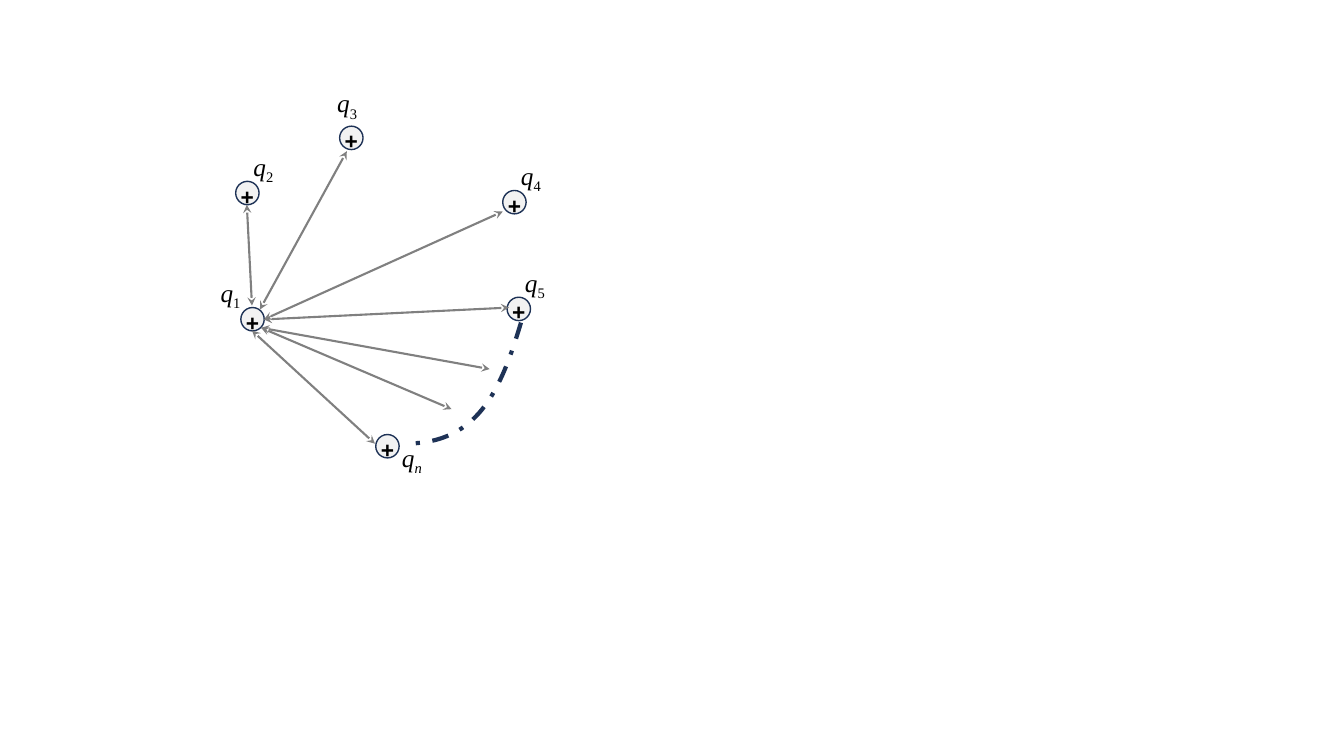
from lxml import etree
from pptx import Presentation
from pptx import util as u
from pptx.dml.color import RGBColor
from pptx.enum import dml, shapes, text
from pptx.oxml.ns import qn

NAVY, GRAY, PALE, BLACK = "1E3256", "808080", "F2F2F2", "000000"


def rgb(color):
    return RGBColor.from_string(color)


def add_run(p, content, font, size, baseline=0, bold=False, italic=False):
    r = p.add_run()
    r.text = content
    r.font.name, r.font.size = font, u.Pt(size)
    r.font.bold, r.font.italic = bold, italic
    r.font.color.rgb = rgb(BLACK)
    if baseline:
        r._r.get_or_add_rPr().set("baseline", str(baseline * 1000))


prs = Presentation()
prs.slide_width, prs.slide_height = u.Cm(33.87), u.Cm(19.05)
s = prs.slides.add_slide(prs.slide_layouts[6])

# Charges: subscript, circle corner, label corner
charges = [
    ("1", (6.07, 7.75), (5.49, 6.99)),
    ("2", (5.94, 4.57), (6.32, 3.81)),
    ("3", (8.56, 3.18), (8.43, 2.21)),
    ("4", (12.67, 4.8), (13.06, 4.04)),
    ("5", (12.78, 7.49), (13.16, 6.73)),
    ("n", (9.47, 10.95), (10.06, 11.15)),
]
for sub, (x, y), (label_x, label_y) in charges:
    sp = s.shapes.add_shape(shapes.MSO_SHAPE.OVAL, u.Cm(x), u.Cm(y), u.Cm(0.59), u.Cm(0.59))
    sp.shadow.inherit = False
    sp.fill.solid()
    sp.fill.fore_color.rgb = rgb(PALE)
    sp.line.color.rgb = rgb(NAVY)
    sp.line.width = u.Pt(1)
    label = s.shapes.add_textbox(u.Cm(label_x), u.Cm(label_y), u.Cm(0.64), u.Cm(0.76))
    for tf in (sp.text_frame, label.text_frame):
        tf.margin_left = tf.margin_top = tf.margin_right = tf.margin_bottom = 0
        tf.word_wrap = False
        tf.paragraphs[0].alignment = text.PP_ALIGN.CENTER
    sp.text_frame.margin_top = u.Cm(0.41)
    sp.text_frame.vertical_anchor = text.MSO_ANCHOR.MIDDLE
    add_run(sp.text_frame.paragraphs[0], "+", "Arial", 28, baseline=30, bold=True)

    label.text_frame.auto_size = text.MSO_AUTO_SIZE.SHAPE_TO_FIT_TEXT
    p = label.text_frame.paragraphs[0]
    add_run(p, "q", "Times New Roman", 18, italic=True)
    add_run(p, sub, "Times New Roman", 18, baseline=-25, italic=sub == "n")

# Double-headed force arrows from the first charge
arrows = [
    ((6.55, 7.8), (8.74, 3.81)),
    ((6.35, 7.7), (6.22, 5.16)),
    ((6.65, 8.05), (12.67, 5.33)),
    ((6.65, 8.05), (12.83, 7.75)),
    ((6.58, 8.26), (11.38, 10.31)),
    ((6.35, 8.33), (9.45, 11.18)),
    ((6.58, 8.26), (12.34, 9.3)),
]
for (x1, y1), (x2, y2) in arrows:
    arrow = s.shapes.add_connector(
        shapes.MSO_CONNECTOR.STRAIGHT, u.Cm(x1), u.Cm(y1), u.Cm(x2), u.Cm(y2))
    arrow.line.color.rgb = rgb(GRAY)
    arrow.line.width = u.Pt(1.5)
    ln = arrow.line._get_or_add_ln()
    for end in ("a:headEnd", "a:tailEnd"):
        etree.SubElement(ln, qn(end), type="stealth")
    etree.SubElement(arrow._element.spPr, qn("a:effectLst"))

# Dash-dot arc from the fifth charge to the last, sampled from a cubic curve
controls = [(13.13, 8.13), (12.6, 9.91), (12.01, 11.18), (10.21, 11.18)]
steps = 40
points = []
for i in range(steps + 1):
    t = i / steps
    weights = [(1 - t) ** 3, 3 * t * (1 - t) ** 2, 3 * t * t * (1 - t), t ** 3]
    points.append([u.Cm(sum(w * c[axis] for w, c in zip(weights, controls))) for axis in (0, 1)])
builder = s.shapes.build_freeform(*points[0])
builder.add_line_segments(points[1:], close=False)
arc = builder.convert_to_shape()
arc.shadow.inherit = False
arc.fill.background()
arc.line.color.rgb = rgb(NAVY)
arc.line.width = u.Pt(3)
arc.line.dash_style = dml.MSO_LINE.DASH_DOT

prs.save("out.pptx")
